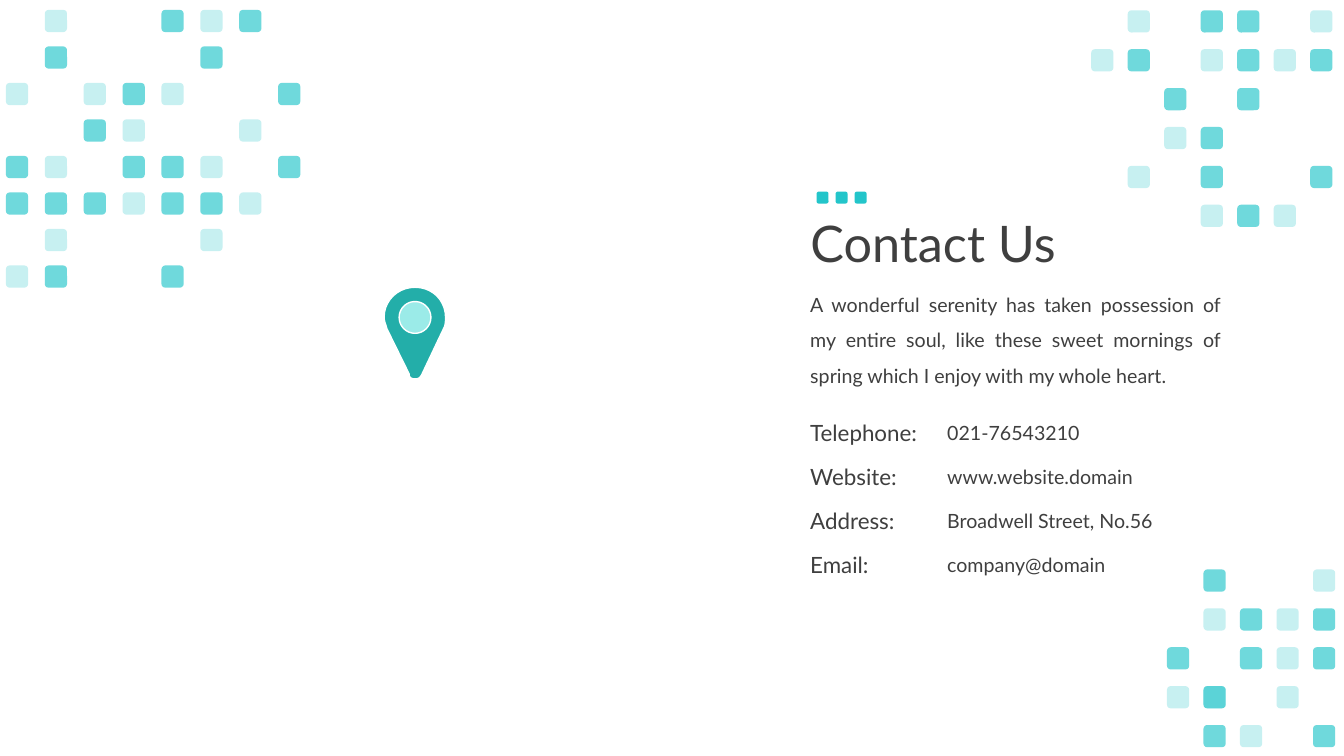
from math import cos, pi, sin

from lxml import etree
from pptx import Presentation
from pptx import util as u
from pptx.dml.color import RGBColor
from pptx.enum import shapes, text
from pptx.oxml.ns import qn

TITLE = "Contact Us"
INTRO = ("A wonderful serenity has taken possession of my entire soul, "
         "like these sweet mornings of spring which I enjoy with my whole heart.")
ROWS = [
    ("Telephone:", "021-76543210"),
    ("Website:", "www.website.domain"),
    ("Address:", "Broadwell Street, No.56"),
    ("Email:", "company@domain"),
]

INK, AQUA, TEAL, PALE, WHITE = "3F3F3F", "23C5CA", "23AEA9", "9BEBE8", "FFFFFF"

# Opacity in percent of the tiles drawn for each mark; "x" is a stacked pair.
MARKS = {".": (), "-": (25,), "#": (65,), "x": (65, 25), "o": (100,)}
# left, top, column step, row step, tile side (cm), pattern
GRIDS = [
    (0.15, 0.25, 0.98, 0.92, 0.56, [
        ".-..#-#.", ".#...#..", "-.-#-..#", "..#-..-.",
        "#-.##-.#", "###-##-.", ".-...-..", "-#..#..."]),
    (27.5, 0.26, 0.92, 0.98, 0.56, [
        ".-.##.-", "-#.-#-#", "..#.#..", "..-#...", ".-.#..#", "...-#-."]),
    (29.41, 14.35, 0.92, 0.98, 0.56, [
        ".#..-", ".-#-#", "#.#-#", "-x.-.", ".#-.#"]),
    (20.58, 4.83, 0.48, 0.48, 0.3, ["ooo"]),
]

# Outline of the map pin (cm): a start, then Bezier curves of three points.
START = (11.18, 8.28)
CURVES = [
    [(10.64, 9.42), (10.64, 9.42), (10.64, 9.42)],
    [(10.59, 9.53), (10.54, 9.55), (10.46, 9.55)],
    [(10.39, 9.55), (10.31, 9.53), (10.31, 9.42)],
    [(9.75, 8.28), (9.75, 8.28), (9.75, 8.28)],
    [(9.73, 8.2), (9.68, 8.08), (9.68, 8)],
    [(9.68, 7.57), (10.03, 7.24), (10.46, 7.24)],
    [(10.9, 7.24), (11.23, 7.57), (11.23, 8)],
    [(11.23, 8.08), (11.23, 8.2), (11.18, 8.28)],
]
HOLE = (10.46, 8, 0.4)
LENS = (10.01, 7.56, 0.89, 0.89)

LEFT, MID = 20.17, 23.62
FIRST, STEP = 10.44, 1.11


def tint(hue):
    return RGBColor.from_string(hue)


def paint(shape, hue, edge=None, alpha=100):
    shape.shadow.inherit = False
    shape.fill.solid()
    shape.fill.fore_color.rgb = tint(hue)
    if alpha < 100:
        node = next(shape._element.spPr.iter(qn("a:srgbClr")))
        etree.SubElement(node, qn("a:alpha"), val=str(alpha * 1000))
    if edge:
        shape.line.color.rgb = tint(edge)
        shape.line.width = u.Pt(1)
    else:
        shape.line.fill.background()


def place(shape, *box):
    names = ("left", "top", "width", "height")
    for name, size in zip(names, box):
        setattr(shape, name, u.Cm(size))


def write(shape, words, size, **form):
    """Fill a shape with one paragraph; form holds paragraph settings."""
    frame = shape.text_frame
    frame.word_wrap = True
    para = frame.paragraphs[0]
    para.text = words
    for name, value in form.items():
        setattr(para, name, value)
    font = para.runs[0].font
    for name, value in {"name": "Lato", "size": u.Pt(size)}.items():
        setattr(font, name, value)
    font.color.rgb = tint(INK)


def label(slide, box, words, size, **form):
    shape = slide.shapes.add_textbox(*map(u.Cm, box))
    write(shape, words, size, **form)
    shape.text_frame.auto_size = text.MSO_AUTO_SIZE.SHAPE_TO_FIT_TEXT


def tile(slide, left, top, wide, high, side, rows):
    group = slide.shapes.add_group_shape()
    for r, row in enumerate(rows):
        for c, mark in enumerate(row):
            for alpha in MARKS[mark]:
                box = (left + c * wide, top + r * high, side, side)
                cell = group.shapes.add_shape(
                    shapes.MSO_SHAPE.ROUNDED_RECTANGLE, *map(u.Cm, box))
                paint(cell, AQUA, alpha=alpha)


def bend(start, curves, count=10):
    """Points along a chain of Bezier curves."""
    for one, two, end in curves:
        for t in (k / count for k in range(1, count + 1)):
            s = 1 - t
            yield tuple(s**3 * a + 3 * s * s * t * b + 3 * s * t * t * c + t**3 * d
                        for a, b, c, d in zip(start, one, two, end))
        start = end


def metric(points):
    """Turn points in cm into whole drawing units."""
    return [(u.Cm(x), u.Cm(y)) for x, y in points]


def pin(slide):
    group = slide.shapes.add_group_shape()
    lens = group.shapes.add_shape(shapes.MSO_SHAPE.OVAL, *map(u.Cm, LENS))
    paint(lens, PALE, WHITE)
    x, y, rad = HOLE
    ring = metric((x + rad * cos(k * pi / 24), y + rad * sin(k * pi / 24))
                  for k in range(48))
    edge = metric([START, *bend(START, CURVES)])
    path = group.shapes.build_freeform(*edge[0])
    path.add_line_segments(edge[1:])
    path.move_to(*ring[0])
    path.add_line_segments(ring[1:])
    paint(path.convert_to_shape(), TEAL, WHITE)


def main():
    deck = Presentation()
    deck.slide_width, deck.slide_height = u.Cm(33.87), u.Cm(19.05)
    slide = deck.slides.add_slide(deck.slide_layouts[5])

    head = slide.shapes.title
    place(head, LEFT, 4.37, 13.7, 3.68)
    write(head, TITLE, 36, alignment=text.PP_ALIGN.LEFT, line_spacing=0.9)
    head.text_frame.vertical_anchor = text.MSO_ANCHOR.MIDDLE
    head.text_frame.auto_size = text.MSO_AUTO_SIZE.NONE

    label(slide, (LEFT, 6.96, 10.85, 2.82), INTRO, 14,
          alignment=text.PP_ALIGN.JUSTIFY, line_spacing=1.5)
    for k, (name, value) in enumerate(ROWS):
        top = FIRST + k * STEP
        label(slide, (LEFT, top, 5.28, 0.94), name, 16)
        label(slide, (MID, top + 0.04, 6.53, 0.86), value, 14)

    pin(slide)
    for grid in GRIDS:
        tile(slide, *grid)
    deck.save("out.pptx")


if __name__ == "__main__":
    main()
